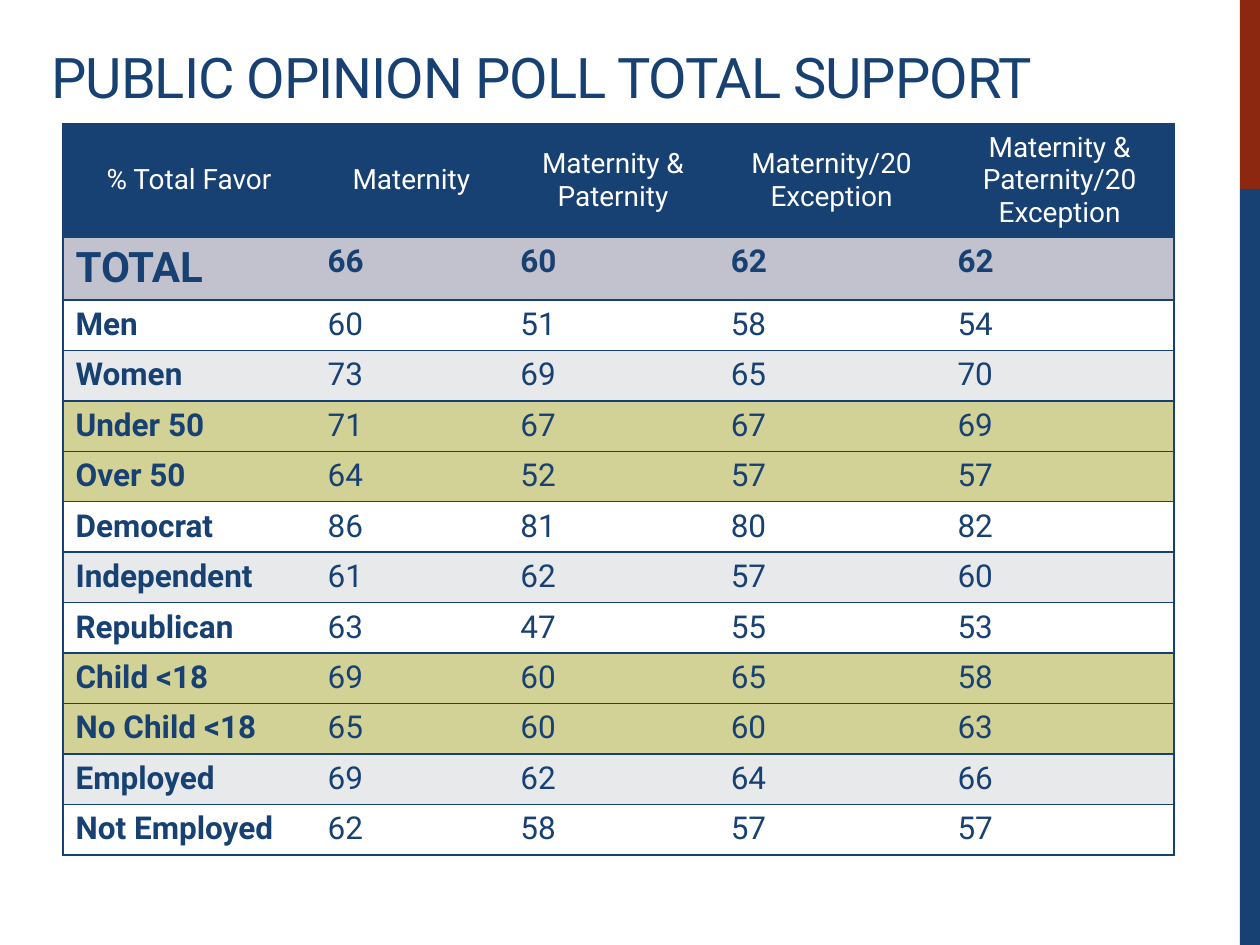
"""Build the public opinion poll slide with its table of total support."""
from dataclasses import dataclass

from lxml import etree
from pptx import Presentation
from pptx import util as u
from pptx.dml.color import RGBColor
from pptx.enum import shapes, text
from pptx.oxml.ns import qn

NAVY = RGBColor(0x18, 0x41, 0x73)
RUST = RGBColor(0x8C, 0x27, 0x10)
WHITE = RGBColor(0xFF, 0xFF, 0xFF)
SILVER = RGBColor(0xC1, 0xC2, 0xCD)
PALE = RGBColor(0xE8, 0xE9, 0xEB)
OLIVE = RGBColor(0xD2, 0xD2, 0x96)

FONT = "Roboto"
GRID_COLUMNS, GRID_ROWS = 100, 75
CELL = u.Inches(0.1)
BORDER_WIDTH = u.Pt(1)
COLUMN_SPANS = (20, 15.3, 16.7, 18, 18.2)
HEADER_SPAN, TOTAL_SPAN, GROUP_SPAN = 9, 4.9, 3.94
HEADINGS = (
    "% Total Favor",
    "Maternity",
    "Maternity & Paternity",
    "Maternity/20 Exception",
    "Maternity & Paternity/20 Exception",
)


@dataclass(frozen=True)
class Area:
    """A rectangle measured in grid columns and rows."""

    column: float
    row: float
    columns: float
    rows: float

    def lengths(self) -> tuple[int, int, int, int]:
        """Return left, top, width and height."""
        return tuple(span(n) for n in (self.column, self.row, self.columns, self.rows))


@dataclass(frozen=True)
class Group:
    """Support within one group of respondents."""

    label: str
    support: tuple[int, int, int, int]
    fill: RGBColor


TOTAL = Group("TOTAL", (66, 60, 62, 62), SILVER)
GROUPS = (
    TOTAL,
    Group("Men", (60, 51, 58, 54), WHITE),
    Group("Women", (73, 69, 65, 70), PALE),
    Group("Under 50", (71, 67, 67, 69), OLIVE),
    Group("Over 50", (64, 52, 57, 57), OLIVE),
    Group("Democrat", (86, 81, 80, 82), WHITE),
    Group("Independent", (61, 62, 57, 60), PALE),
    Group("Republican", (63, 47, 55, 53), WHITE),
    Group("Child <18", (69, 60, 65, 58), OLIVE),
    Group("No Child <18", (65, 60, 60, 63), OLIVE),
    Group("Employed", (69, 62, 64, 66), PALE),
    Group("Not Employed", (62, 58, 57, 57), WHITE),
)
ROW_SPANS = (HEADER_SPAN, TOTAL_SPAN) + (GROUP_SPAN,) * (len(GROUPS) - 1)
TITLE_AREA = Area(3.1, 2.8, 92.3, 6.4)
TABLE_AREA = Area(5, 9.8, sum(COLUMN_SPANS), sum(ROW_SPANS))
SIDE_BARS = (
    (Area(98.4, 0, 1.6, 15), RUST),
    (Area(98.4, 15, 1.6, 60), NAVY),
)


def span(count: float) -> int:
    """Return the length of a number of grid cells."""
    return round(CELL * count)


def style_paragraph(paragraph, size: float, color: RGBColor, bold: bool = False) -> None:
    """Set the font of a whole paragraph."""
    font = paragraph.font
    font.name, font.size, font.bold = FONT, u.Pt(size), bold
    font.color.rgb = color


def draw_bar(slide, area: Area, color: RGBColor) -> None:
    """Draw one plain bar at the slide's edge."""
    shape = slide.shapes.add_shape(shapes.MSO_SHAPE.RECTANGLE, *area.lengths())
    shape.shadow.inherit = False
    shape.fill.solid()
    shape.fill.fore_color.rgb = color
    shape.line.fill.background()


def draw_title(slide, title: str) -> None:
    """Draw the slide's heading with slightly tightened letters."""
    frame = slide.shapes.add_textbox(*TITLE_AREA.lengths()).text_frame
    frame.word_wrap = True
    frame.vertical_anchor = text.MSO_ANCHOR.BOTTOM
    paragraph = frame.paragraphs[0]
    run = paragraph.add_run()
    run.text = title
    run._r.get_or_add_rPr().set("spc", "-60")
    style_paragraph(paragraph, 32, NAVY)


def set_borders(cell, visible: dict[str, bool]) -> None:
    """Draw or hide each side of a cell."""
    properties = cell._tc.get_or_add_tcPr()
    for side, shown in visible.items():
        line = etree.SubElement(properties, qn(f"a:ln{side}"), w=str(BORDER_WIDTH))
        if shown:
            fill = etree.SubElement(line, qn("a:solidFill"))
            etree.SubElement(fill, qn("a:srgbClr"), val=str(NAVY))
        else:
            etree.SubElement(line, qn("a:noFill"))


def fill_row(table, row: int, values: tuple, fill: RGBColor) -> None:
    """Write the values of a row over its fill and borders."""
    last = len(values) - 1
    for column, value in enumerate(values):
        cell = table.cell(row, column)
        set_borders(cell, {"L": column == 0, "R": column == last, "T": True, "B": True})
        cell.fill.solid()
        cell.fill.fore_color.rgb = fill
        cell.text = str(value)


def draw_table(slide) -> None:
    """Draw the headings and one row for each group."""
    table = slide.shapes.add_table(
        len(ROW_SPANS), len(COLUMN_SPANS), *TABLE_AREA.lengths()
    ).table
    table.first_row = table.horz_banding = False
    for column, count in zip(table.columns, COLUMN_SPANS):
        column.width = span(count)
    for row, count in zip(table.rows, ROW_SPANS):
        row.height = span(count)

    fill_row(table, 0, HEADINGS, NAVY)
    for cell in table.rows[0].cells:
        cell.vertical_anchor = text.MSO_ANCHOR.MIDDLE
        paragraph = cell.text_frame.paragraphs[0]
        paragraph.alignment = text.PP_ALIGN.CENTER
        style_paragraph(paragraph, 16, WHITE)

    for row, group in enumerate(GROUPS, start=1):
        fill_row(table, row, (group.label, *group.support), group.fill)
        for column, cell in enumerate(table.rows[row].cells):
            is_label, is_total = column == 0, group is TOTAL
            size = 24 if is_label and is_total else 18
            paragraph = cell.text_frame.paragraphs[0]
            style_paragraph(paragraph, size, NAVY, is_label or is_total)


def main() -> None:
    """Build and save the presentation."""
    presentation = Presentation()
    presentation.slide_width = span(GRID_COLUMNS)
    presentation.slide_height = span(GRID_ROWS)
    slide = presentation.slides.add_slide(presentation.slide_layouts[6])
    for area, color in SIDE_BARS:
        draw_bar(slide, area, color)
    draw_title(slide, "PUBLIC OPINION POLL TOTAL SUPPORT")
    draw_table(slide)
    presentation.save("out.pptx")


if __name__ == "__main__":
    main()
